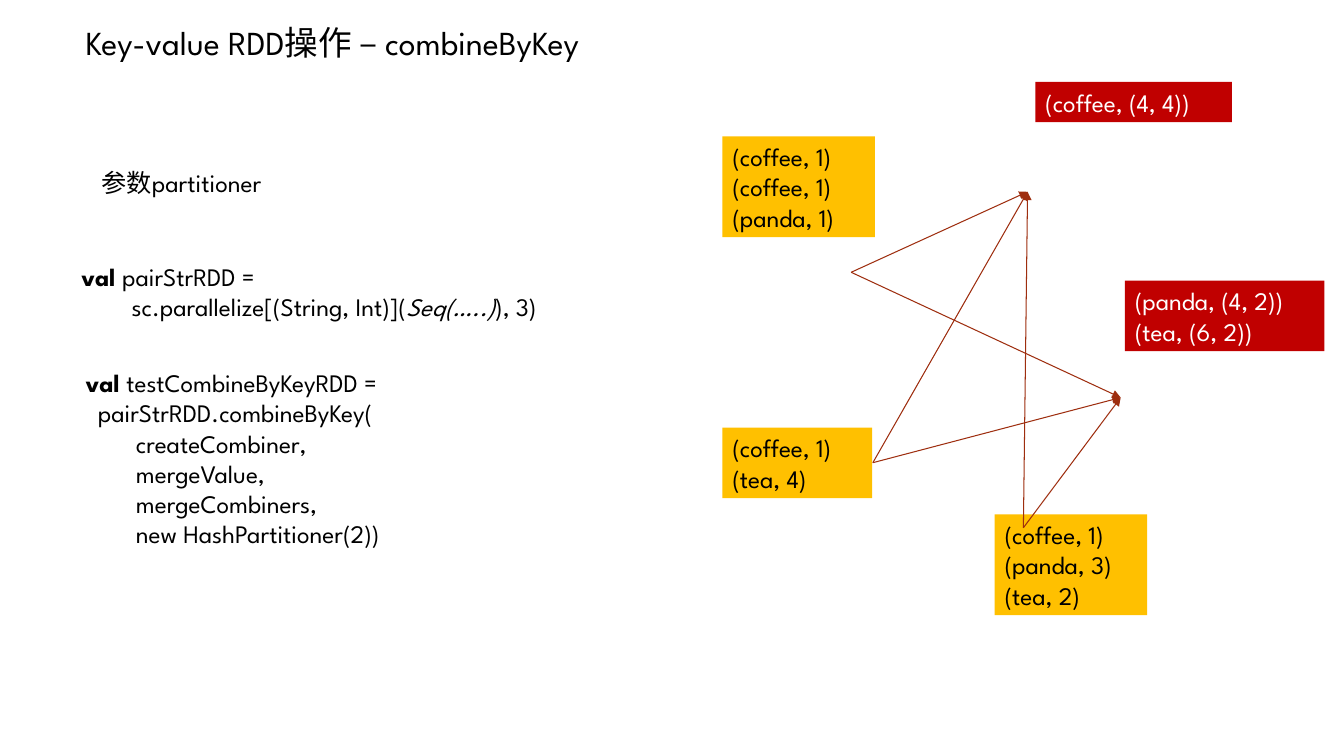
from itertools import product
from lxml.etree import SubElement as sub
from pptx import Presentation
from pptx.dml.color import RGBColor
from pptx.enum.shapes import MSO_CONNECTOR as Conn, MSO_SHAPE as Shape
from pptx.enum.text import MSO_ANCHOR as Anchor, PP_ALIGN as Align
from pptx.oxml.ns import qn
from pptx.util import Pt

BLACK = RGBColor(0x00, 0x00, 0x00)
WHITE = RGBColor(0xFF, 0xFF, 0xFF)
GOLD = RGBColor(0xFF, 0xC0, 0x00)
RED = RGBColor(0xC0, 0x00, 0x00)
RUST = RGBColor(0x9E, 0x2E, 0x0F)
FACE = "League Spartan"
SIZE = 18
LINE = 21.6  # height of one text line
PAD = 7.2    # top and bottom inset together


def style(run, color=BLACK, size=SIZE):
    font = run.font
    font.name, font.size, font.color.rgb = FACE, Pt(size), color


def set_frame(frame):
    frame.word_wrap = True
    frame.vertical_anchor = Anchor.TOP


def add_title(slide, left, top, width, height):
    title = slide.shapes.title
    title.left, title.top = Pt(left), Pt(top)
    title.width, title.height = Pt(width), Pt(height)
    frame = title.text_frame
    frame.text = "Key-value RDD操作 – combineByKey"
    set_frame(frame)
    para = frame.paragraphs[0]
    para.alignment = Align.LEFT
    style(para.runs[0], size=24)


def add_code(slide, left, top, width, lines):
    """Each line is a list of (text, mark); mark is "b", "i" or "", and "\\n" breaks."""
    count = len(lines) + sum(text == "\n" for line in lines for text, _ in line)
    box = slide.shapes.add_textbox(Pt(left), Pt(top), Pt(width), Pt(count * LINE + PAD))
    frame = box.text_frame
    set_frame(frame)
    for num, line in enumerate(lines):
        para = frame.add_paragraph() if num else frame.paragraphs[0]
        for text, mark in line:
            if text == "\n":
                para.add_line_break()
                continue
            run = para.add_run()
            run.text = text
            style(run)
            run.font.bold = mark == "b"
            run.font.italic = mark == "i"


def add_block(slide, left, top, width, text, fill, color):
    height = (text.count("\n") + 1) * LINE + PAD
    block = slide.shapes.add_shape(
        Shape.RECTANGLE, Pt(left), Pt(top), Pt(width), Pt(height))
    block.shadow.inherit = False
    block.fill.solid()
    block.fill.fore_color.rgb = fill
    block.line.fill.background()
    frame = block.text_frame
    frame.text = text
    set_frame(frame)
    for para in frame.paragraphs:
        para.alignment = Align.LEFT
        style(para.runs[0], color)


def add_arrow(slide, start, end):
    arrow = slide.shapes.add_connector(Conn.STRAIGHT, *map(Pt, start + end))
    arrow.line.color.rgb = RUST
    arrow.line.width = Pt(0.75)
    props = arrow._element.spPr
    sub(props.find(qn("a:ln")), qn("a:tailEnd"), type="triangle")
    sub(props, qn("a:effectLst"))


def add_shuffle(slide, left, top):
    """Gold input partitions joined by arrows to the red combined results."""
    blocks = [
        (0, 39, 109, "(coffee, 1)\n(coffee, 1)\n(panda, 1)", GOLD, BLACK),
        (0, 247, 107, "(coffee, 1)\n(tea, 4)", GOLD, BLACK),
        (194.5, 309, 109, "(coffee, 1)\n(panda, 3)\n(tea, 2)", GOLD, BLACK),
        (223.5, 0, 140.5, "(coffee, (4, 4))", RED, WHITE),
        (287.5, 142, 142.5, "(panda, (4, 2))\n(tea, (6, 2))", RED, WHITE),
    ]
    for x, y, *rest in blocks:
        add_block(slide, left + x, top + y, *rest)
    ends = [(218, 78.5), (284.5, 225.5)]
    starts = [(92, 136), (107.5, 272), (215, 318.5)]
    for (ex, ey), (sx, sy) in product(ends, starts):
        add_arrow(slide, (left + sx, top + sy), (left + ex, top + ey))


def main():
    deck = Presentation()
    deck.slide_width, deck.slide_height = Pt(960), Pt(540)
    slide = deck.slides.add_slide(deck.slide_layouts[5])
    add_title(slide, 54, 12, 438.5, 36)
    add_code(slide, 65.5, 116, 141, [[("参数partitioner", "")]])
    add_shuffle(slide, 516, 58.5)
    args = ["createCombiner,", "mergeValue,", "mergeCombiners,",
            "new HashPartitioner(2))"]
    add_code(slide, 54, 259, 292.5, [
        [("val ", "b"), ("testCombineByKeyRDD = ", ""), ("\n", ""),
         ("  pairStrRDD.combineByKey(", "")],
        *[[("\t" + arg, "")] for arg in args],
    ])
    add_code(slide, 51, 183, 420.5, [
        [("val ", "b"), ("pairStrRDD =", "")],
        [("\tsc.parallelize[(String, Int)](", ""), ("Seq(…..)", "i"), ("), 3)", "")],
    ])
    deck.save("out.pptx")


if __name__ == "__main__":
    main()
